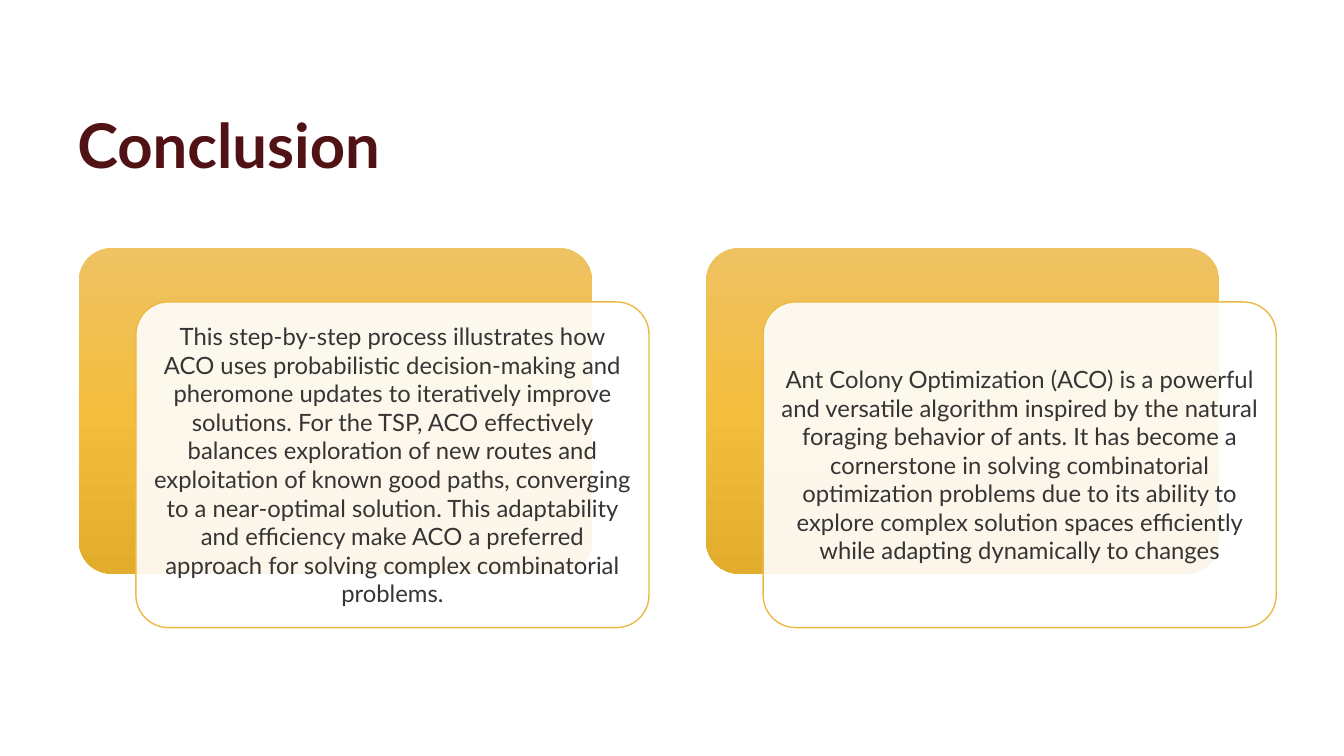
from copy import deepcopy

from lxml.etree import SubElement
from pptx import Presentation
from pptx.dml.color import RGBColor
from pptx.enum.shapes import MSO_SHAPE
from pptx.enum.text import MSO_ANCHOR, MSO_AUTO_SIZE, PP_ALIGN
from pptx.oxml.ns import qn
from pptx.util import Pt

TITLE = "Conclusion"
CONCLUSIONS = [
    "This step-by-step process illustrates how ACO uses probabilistic decision-making "
    "and pheromone updates to iteratively improve solutions. For the TSP, ACO effectively "
    "balances exploration of new routes and exploitation of known good paths, converging "
    "to a near-optimal solution. This adaptability and efficiency make ACO a preferred "
    "approach for solving complex combinatorial problems.",
    "Ant Colony Optimization (ACO) is a powerful and versatile algorithm inspired by the "
    "natural foraging behavior of ants. It has become a cornerstone in solving combinatorial "
    "optimization problems due to its ability to explore complex solution spaces efficiently "
    "while adapting dynamically to changes",
]
COLORS = {"title": "501214", "text": "363434", "card": "FFFFFF", "outline": "EBBA45"}
GOLD_STOPS = [(0, "EFC262"), (0.5, "F3BD3D"), (1, "E2AC2C")]
FONT = "Lato"

LEFT, TOP = 56.4, 177.1
PANEL_W, PANEL_H = 366.5, 232.6
PITCH = 448
CARD_DX, CARD_DY = 40.7, 38.6


def rgb(name):
    return RGBColor.from_string(COLORS[name])


def style_font(font, size, color, bold=False):
    font.name, font.size, font.bold = FONT, Pt(size), bold
    font.color.rgb = rgb(color)


def add_rounded(x, y):
    s = slide.shapes.add_shape(MSO_SHAPE.ROUNDED_RECTANGLE,
                               Pt(x), Pt(y), Pt(PANEL_W), Pt(PANEL_H))
    s.adjustments[0] = 0.1
    s.shadow.inherit = False
    return s


def fill_gold(s):
    """Fill with the three-stop gold gradient, running downwards."""
    s.fill.gradient()
    s.fill.gradient_angle = 270
    stops = s._element.spPr.find(qn("a:gradFill")).find(qn("a:gsLst"))
    stops.insert(1, deepcopy(stops[0]))
    for stop, (position, color) in zip(s.fill.gradient_stops, GOLD_STOPS):
        stop.position = position
        stop.color.rgb = RGBColor.from_string(color)


def add_card(x, y, text):
    s = add_rounded(x, y)
    s.fill.solid()
    s.fill.fore_color.rgb = rgb("card")
    color = s._element.spPr.find(qn("a:solidFill")).find(qn("a:srgbClr"))
    SubElement(color, qn("a:alpha"), val="90000")
    s.line.color.rgb = rgb("outline")
    s.line.width = Pt(1)
    tf = s.text_frame
    tf.word_wrap = True
    tf.vertical_anchor = MSO_ANCHOR.MIDDLE
    tf.margin_left = tf.margin_right = tf.margin_top = tf.margin_bottom = Pt(5)
    tf.text = text
    p = tf.paragraphs[0]
    p.alignment = PP_ALIGN.CENTER
    style_font(p.runs[0].font, 17, "text")


prs = Presentation()
prs.slide_width, prs.slide_height = Pt(960), Pt(540)
slide = prs.slides.add_slide(prs.slide_layouts[5])

title = slide.shapes.title
title.left, title.top, title.width, title.height = Pt(48), Pt(28.8), Pt(864), Pt(104.4)
tf = title.text_frame
tf.text = TITLE
tf.auto_size = MSO_AUTO_SIZE.NONE
tf.vertical_anchor = MSO_ANCHOR.BOTTOM
p = tf.paragraphs[0]
p.alignment = PP_ALIGN.LEFT
p.line_spacing = 0.9
style_font(p.runs[0].font, 44, "title", bold=True)

for i, text in enumerate(CONCLUSIONS):
    x = LEFT + i * PITCH
    panel = add_rounded(x, TOP)
    fill_gold(panel)
    panel.line.fill.background()
    add_card(x + CARD_DX, TOP + CARD_DY, text)

prs.save("out.pptx")
